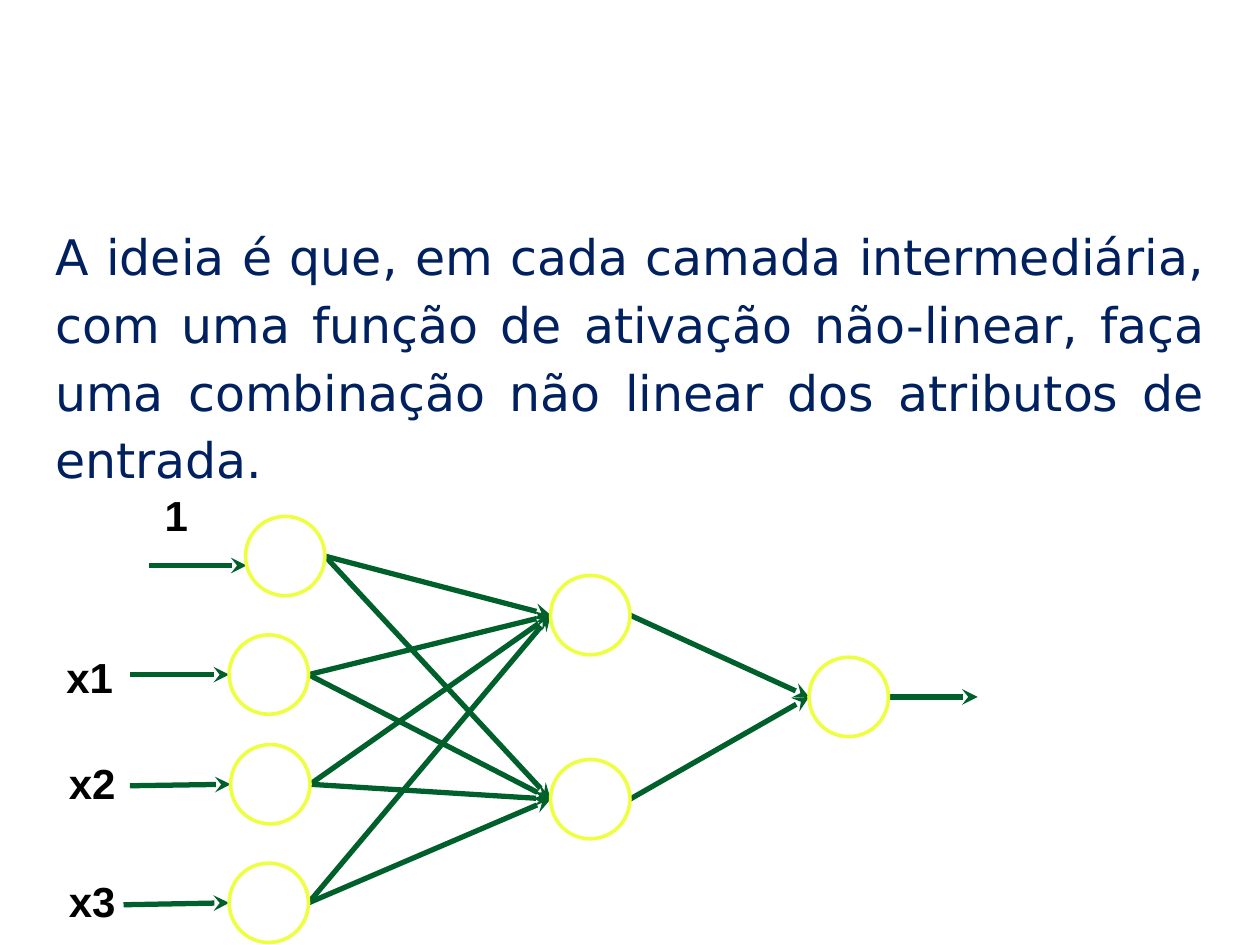
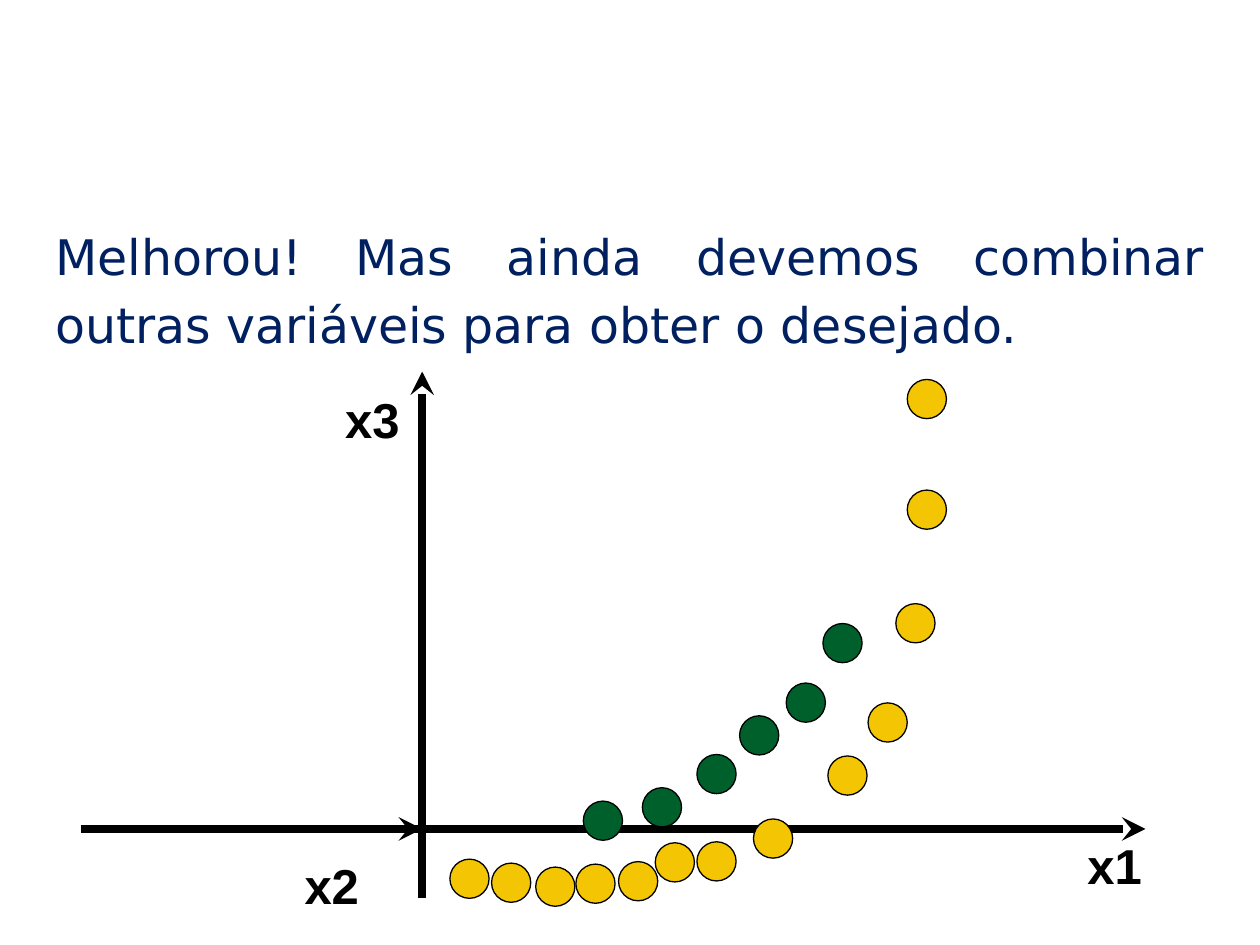
import pptx
import pptx.dml.color
import pptx.enum.shapes
import pptx.enum.text
import pptx.oxml
import pptx.util
from pptx.util import Cm

NAVY, GREEN, LIME = "002060", "00602B", "EEFF41"
GOLD, WHITE, BLACK = "F3C503", "FFFFFF", "000000"


def colour(color_format, hex_value):
    color_format.rgb = pptx.dml.color.RGBColor.from_string(hex_value)


def write(paragraph, text, font_values, hex_value):
    span = paragraph.add_run()
    span.text = text
    for name, value in font_values.items():
        setattr(span.font, name, value)
    colour(span.font.color, hex_value)


# Shared text formats
body_place = {"left": Cm(0.86), "top": Cm(4.27), "width": Cm(23.67), "height": Cm(12.65)}
body_font = {"name": "DejaVu Sans", "size": pptx.util.Pt(28)}
body_format = {
    "alignment": pptx.enum.text.PP_ALIGN.JUSTIFY,
    "line_spacing": 1.15,
    "space_before": pptx.util.Pt(0),
    "space_after": pptx.util.Pt(12),
}

# Network: left and top of each neuron, layer by layer
neuron = 1.6
input_layer = [(4.95, 10.41), (4.62, 12.8), (4.65, 15.01), (4.62, 17.4)]
hidden_layer = [(11.1, 11.6), (11.1, 15.31)]
output_layer = [(16.31, 13.25)]

network_arrows = [
    (3, 11.4, 4.97, 11.4),
    (2.62, 13.6, 4.62, 13.6),
    (2.62, 15.84, 4.65, 15.81),
    (2.49, 18.24, 4.62, 18.2),
]
for sources, targets in [(input_layer, hidden_layer), (hidden_layer, output_layer)]:
    for source_left, source_top in sources:
        for target_left, target_top in targets:
            network_arrows.append((source_left + neuron, source_top + neuron / 2,
                                   target_left, target_top + neuron / 2))
network_arrows.append((17.91, 14.05, 19.71, 14.05))

# Scatter: left and top of each dot, from left to right
green_dots = [(11.76, 16.15), (12.95, 15.88), (14.05, 15.21),
              (14.91, 14.43), (15.85, 13.77), (16.59, 12.57)]
gold_dots = [(9.07, 17.32), (9.91, 17.4), (10.8, 17.48), (11.61, 17.42), (12.47, 17.37),
             (13.21, 16.99), (14.05, 16.97), (15.19, 16.51), (16.69, 15.24),
             (17.5, 14.17), (18.06, 12.17), (18.29, 9.88), (18.29, 7.65)]
scatter_axes = [(8.51, 18.11, 8.51, 7.49), (6.71, 16.71, 23.09, 16.71),
                (1.63, 16.71, 8.51, 16.71)]

pages = [
    {
        "body": "A ideia é que, em cada camada intermediária, com uma função de ativação "
                "não-linear, faça uma combinação não linear dos atributos de entrada.",
        "circles": [(WHITE, input_layer + hidden_layer + output_layer)],
        "diameter": neuron, "outline": LIME, "outline_width": 2.08,
        "arrows": network_arrows, "arrow_colour": GREEN, "arrow_width": 3,
        "labels": [("1", 3.07, 9.75, 0.99), ("x1", 1.09, 13, 1.47),
                   ("x2", 1.14, 15.14, 1.47), ("x3", 1.14, 17.53, 1.47)],
        "label_size": 24, "label_height": 1.27,
    },
    {
        "body": "Melhorou! Mas ainda devemos combinar outras variáveis para obter o desejado.",
        "circles": [(GREEN, green_dots), (GOLD, gold_dots)],
        "diameter": 0.79, "outline": BLACK, "outline_width": 0.75,
        "arrows": scatter_axes, "arrow_colour": BLACK, "arrow_width": 4.5,
        "labels": [("x1", 21.67, 16.71, 1.63), ("x3", 6.71, 7.72, 1.63),
                   ("x2", 5.89, 17.12, 1.63)],
        "label_size": 28, "label_height": 1.45,
    },
]

deck = pptx.Presentation()
deck.slide_width, deck.slide_height = Cm(25.4), Cm(19.05)

for content in pages:
    page = deck.slides.add_slide(deck.slide_layouts[1])
    title = page.shapes.title.element
    title.getparent().remove(title)

    # Body text without a bullet
    body = page.placeholders[1]
    for name, value in body_place.items():
        setattr(body, name, value)
    body.text_frame.auto_size = pptx.enum.text.MSO_AUTO_SIZE.NONE
    para = body.text_frame.paragraphs[0]
    properties = para._p.get_or_add_pPr()
    properties.set("marL", "0")
    properties.set("indent", "0")
    properties.append(pptx.oxml.parse_xml(
        f"<a:buNone {pptx.oxml.ns.nsdecls('a')}/>"))
    for name, value in body_format.items():
        setattr(para, name, value)
    write(para, content["body"], body_font, NAVY)

    # Axes run behind the dots, network arrows touch the neurons
    drawing_start = len(page.shapes)
    for start_x, start_y, end_x, end_y in content["arrows"]:
        arrow = page.shapes.add_connector(
            pptx.enum.shapes.MSO_CONNECTOR.STRAIGHT,
            Cm(start_x), Cm(start_y), Cm(end_x), Cm(end_y))
        arrow.line.width = pptx.util.Pt(content["arrow_width"])
        colour(arrow.line.color, content["arrow_colour"])
        arrow.line._get_or_add_ln().append(pptx.oxml.parse_xml(
            f"<a:tailEnd {pptx.oxml.ns.nsdecls('a')} type='stealth'/>"))
        arrow._element.spPr.append(pptx.oxml.parse_xml(
            f"<a:effectLst {pptx.oxml.ns.nsdecls('a')}/>"))

    # Neurons or dots
    for fill, places in content["circles"]:
        for left, top in places:
            circle = page.shapes.add_shape(
                pptx.enum.shapes.MSO_SHAPE.OVAL, Cm(left), Cm(top),
                Cm(content["diameter"]), Cm(content["diameter"]))
            circle.shadow.inherit = False
            circle.fill.solid()
            colour(circle.fill.fore_color, fill)
            circle.line.width = pptx.util.Pt(content["outline_width"])
            colour(circle.line.color, content["outline"])

    # Variable names
    label_font = {"name": "Arial", "size": pptx.util.Pt(content["label_size"]), "bold": True}
    for text, left, top, width in content["labels"]:
        box = page.shapes.add_textbox(
            Cm(left), Cm(top), Cm(width), Cm(content["label_height"]))
        box.text_frame.word_wrap = False
        write(box.text_frame.paragraphs[0], text, label_font, BLACK)

deck.save("out.pptx")
